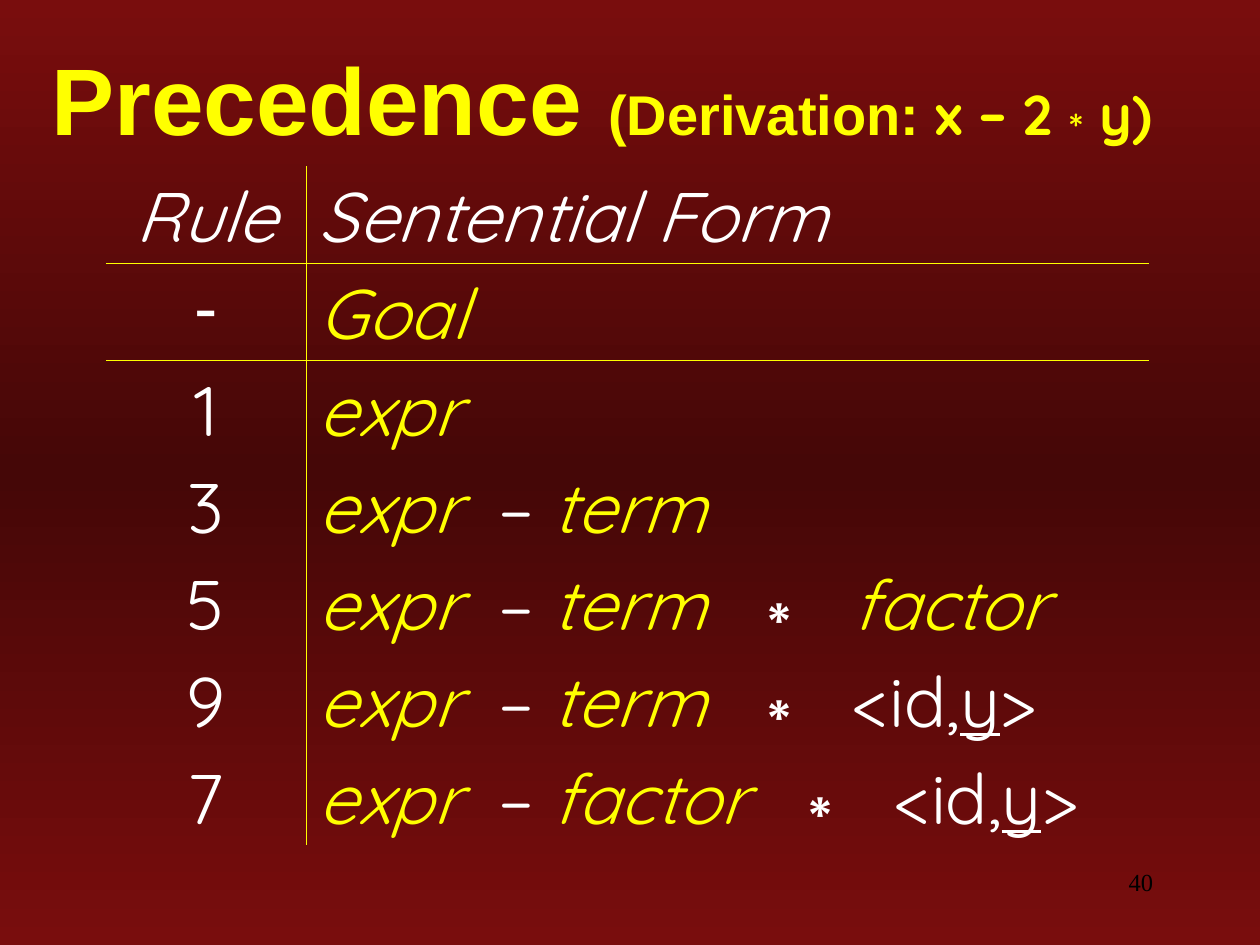
from copy import deepcopy
from typing import NamedTuple

from lxml.etree import SubElement
from pptx import Presentation
from pptx.dml.color import RGBColor
from pptx.enum.text import MSO_ANCHOR, PP_ALIGN
from pptx.oxml import parse_xml
from pptx.oxml.ns import nsdecls, qn
from pptx.util import Inches, Pt

COLORS = {
    "edge": "790D0D",
    "middle": "450707",
    "yellow": "FFFF00",
    "white": "FFFFFF",
    "black": "000000",
    "shadow": "DDDDDD",
}
PLAIN_TABLE = "{2D5ABB26-0587-4C30-8999-92F81FD0307C}"


class Piece(NamedTuple):
    text: str
    color: str = "white"
    italic: bool = False
    font: str = "Quicksand"
    size: int = 40
    bold: bool = False
    underline: bool = False


class Step(NamedTuple):
    rule: Piece
    form: list[Piece]


def symbol(text: str) -> Piece:
    return Piece(text, "yellow", True)


def heading(text: str, size: int = 32, font: str = "Quicksand") -> Piece:
    return Piece(text, "yellow", font=font, size=size, bold=True)


def write(paragraph, pieces: list[Piece]) -> None:
    for piece in pieces:
        run = paragraph.add_run()
        run.text = piece.text
        run.font.name = piece.font
        run.font.size = Pt(piece.size)
        run.font.bold = piece.bold
        run.font.italic = piece.italic
        run.font.underline = piece.underline
        run.font.color.rgb = RGBColor.from_string(COLORS[piece.color])


def paint_background(slide) -> None:
    fill = slide.background.fill
    fill.gradient()
    fill.gradient_angle = 270
    first, last = fill.gradient_stops
    for stop, position in ((first, 0), (last, 1)):
        stop.color.rgb = RGBColor.from_string(COLORS["edge"])
        stop.position = position
    stops = slide._element.find(".//" + qn("a:gsLst"))
    center = deepcopy(stops[0])
    center.set("pos", "50000")
    center.find(qn("a:srgbClr")).set("val", COLORS["middle"])
    stops.insert(1, center)


def add_textbox(slide, left: float, top: float, width: float, height: float):
    box = slide.shapes.add_textbox(
        Inches(left), Inches(top), Inches(width), Inches(height)
    )
    box.text_frame.word_wrap = True
    return box.text_frame


def add_text_shadow(run) -> None:
    effects = parse_xml(
        f'<a:effectLst {nsdecls("a")}>'
        '<a:outerShdw dist="17961" dir="2700000">'
        f'<a:srgbClr val="{COLORS["shadow"]}"/></a:outerShdw></a:effectLst>'
    )
    run._r.rPr.find(qn("a:solidFill")).addnext(effects)


def add_title(slide) -> None:
    frame = add_textbox(slide, 0.31, 0.36, 9.63, 0.83)
    frame.vertical_anchor = MSO_ANCHOR.MIDDLE
    title = frame.paragraphs[0]
    write(title, [
        heading("Precedence ", 54, "Arial"),
        heading("(Derivation: ", font="Arial"),
        heading("x – 2 "),
        heading("*", 40),
        heading(" y)"),
    ])
    for run in title.runs:
        add_text_shadow(run)
    title.runs[3]._r.rPr.set("baseline", "-10000")


def draw_borders(cell, sides: str) -> None:
    properties = cell._tc.get_or_add_tcPr()
    for index, side in enumerate(side for side in "LRTB" if side in sides):
        line = parse_xml(f'<a:ln{side} {nsdecls("a")} w="{Pt(0.45)}"/>')
        color = SubElement(SubElement(line, qn("a:solidFill")), qn("a:srgbClr"))
        color.set("val", COLORS["yellow"])
        properties.insert(index, line)


def add_derivation(slide, steps: list[Step]) -> None:
    table = slide.shapes.add_table(
        len(steps), 2, Inches(0.84), Inches(1.32), Inches(8.28), Inches(5.39)
    ).table
    table.first_row = False
    table.horz_banding = False
    table._tbl.tblPr.find(qn("a:tableStyleId")).text = PLAIN_TABLE
    table.columns[0].width = Inches(1.59)
    table.columns[1].width = Inches(6.69)
    for index, step in enumerate(steps):
        table.rows[index].height = Inches(0.77)
        row_sides = {0: "B", 1: "T"}.get(index, "")
        rule_cell, form_cell = table.cell(index, 0), table.cell(index, 1)
        for cell, pieces, inner_side in (
            (rule_cell, [step.rule], "R"),
            (form_cell, step.form, "L"),
        ):
            cell.fill.background()
            draw_borders(cell, inner_side + row_sides)
            write(cell.text_frame.paragraphs[0], pieces)
        rule_cell.text_frame.paragraphs[0].alignment = PP_ALIGN.CENTER


def add_page_number(slide) -> None:
    page_number = add_textbox(slide, 7.17, 6.83, 2.08, 0.5).paragraphs[0]
    page_number.alignment = PP_ALIGN.RIGHT
    write(page_number, [Piece("40", "black", font="Times New Roman", size=14)])


def main() -> None:
    presentation = Presentation()
    presentation.slide_width = Inches(10)
    presentation.slide_height = Inches(7.5)
    slide = presentation.slides.add_slide(presentation.slide_layouts[6])

    expr = symbol("expr  ")
    minus = Piece("– ")
    times = Piece("∗  ", font="Arial")
    identifier = [Piece("<id,"), Piece("y", underline=True), Piece(">")]
    steps = [
        Step(Piece("Rule", italic=True), [Piece("Sentential Form", italic=True)]),
        Step(Piece("-", font="Arial"), [symbol("Goal")]),
        Step(Piece("1"), [symbol("expr")]),
        Step(Piece("3"), [expr, minus, symbol("term")]),
        Step(Piece("5"), [expr, minus, symbol("term  "), times, symbol("factor")]),
        Step(Piece("9"), [expr, minus, symbol("term  "), times, *identifier]),
        Step(Piece("7"), [expr, minus, symbol("factor  "), times, *identifier]),
    ]

    paint_background(slide)
    add_page_number(slide)
    add_title(slide)
    add_derivation(slide, steps)
    presentation.save("out.pptx")


if __name__ == "__main__":
    main()
